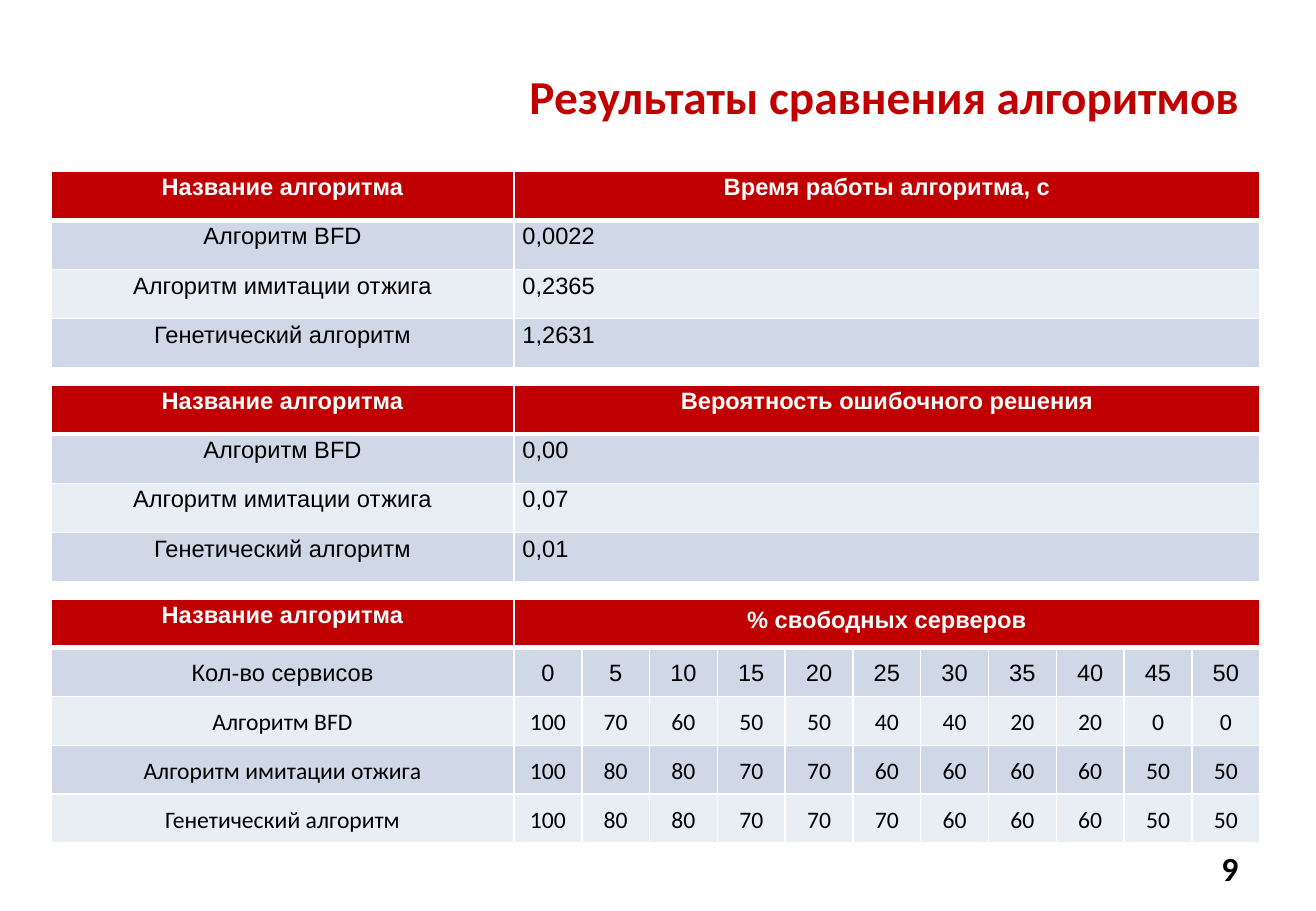
from lxml.etree import SubElement
from pptx import Presentation
from pptx.dml.color import RGBColor
from pptx.enum.text import MSO_ANCHOR as Anchor, PP_ALIGN as Align
from pptx.oxml.ns import qn
from pptx.util import Inches, Pt

RED = RGBColor(0xC0, 0x00, 0x00)
WHITE = RGBColor(0xFF, 0xFF, 0xFF)
BLACK = RGBColor(0x00, 0x00, 0x00)
BAND_DARK = RGBColor(0xD0, 0xD8, 0xE8)
BAND_LIGHT = RGBColor(0xE9, 0xED, 0xF4)

TABLE_LEFT, TABLE_WIDTH, NAME_WIDTH = 0.42, 9.95, 3.81

NAME_HEADING = "Название алгоритма"
ALGORITHMS = ["Алгоритм BFD", "Алгоритм имитации отжига", "Генетический алгоритм"]
RUN_TIMES = ["0,0022", "0,2365", "1,2631"]
ERROR_RATES = ["0,00", "0,07", "0,01"]
SERVICE_COUNTS = range(0, 51, 5)
FREE_SERVERS = [
    [100, 70, 60, 50, 50, 40, 40, 20, 20, 0, 0],
    [100, 80, 80, 70, 70, 60, 60, 60, 60, 50, 50],
    [100, 80, 80, 70, 70, 70, 60, 60, 60, 50, 50],
]


def style_text(paragraph, font_name, size, color, bold, align):
    paragraph.alignment = align
    for run in paragraph.runs:
        run.font.name = font_name
        run.font.size = Pt(size)
        run.font.color.rgb = color
        run.font.bold = bold


def add_label(slide, text, left, top, width, height, size, color):
    """Right-aligned bold line: the title or the page number."""
    label = slide.shapes.add_textbox(
        Inches(left), Inches(top), Inches(width), Inches(height))
    frame = label.text_frame
    frame.word_wrap = True
    frame.vertical_anchor = Anchor.MIDDLE
    frame.text = text
    style_text(frame.paragraphs[0], "Calibri", size, color, True, Align.RIGHT)


def set_borders(cell, top=1, bottom=1):
    properties = cell._tc.get_or_add_tcPr()
    for tag, points in (("a:lnL", 1), ("a:lnR", 1), ("a:lnT", top), ("a:lnB", bottom)):
        line = SubElement(properties, qn(tag), w=str(Pt(points)))
        fill = SubElement(line, qn("a:solidFill"))
        SubElement(fill, qn("a:srgbClr"), val=str(WHITE))


def add_table(slide, rows, top, height, side_margin):
    """Banded table with a red heading row; returns the table."""
    row_count, column_count = len(rows), len(rows[0])
    table = slide.shapes.add_table(
        row_count, column_count, Inches(TABLE_LEFT), Inches(top),
        Inches(TABLE_WIDTH), Inches(height)).table
    table.first_row = table.horz_banding = False

    # Name column first, the rest shared equally
    value_width = (TABLE_WIDTH - NAME_WIDTH) / (column_count - 1)
    for index, column in enumerate(table.columns):
        column.width = Inches(value_width if index else NAME_WIDTH)

    for r, values in enumerate(rows):
        heading = r == 0
        table.rows[r].height = Inches(height / row_count)
        for c, value in enumerate(values):
            cell = table.cell(r, c)
            set_borders(cell, 3 if r == 1 else 1, 3 if heading else 1)
            cell.fill.solid()
            cell.fill.fore_color.rgb = RED if heading else BAND_DARK if r % 2 else BAND_LIGHT
            cell.margin_left = cell.margin_right = Inches(side_margin)
            cell.margin_top, cell.margin_bottom = Inches(0.01), 0
            cell.text_frame.text = str(value)
            paragraph = cell.text_frame.paragraphs[0]
            paragraph.line_spacing = 1.07
            paragraph.space_after = Pt(8)
            style_text(paragraph, "Arial", 14, WHITE if heading else BLACK,
                       heading, Align.CENTER)
    return table


def add_measure_table(slide, heading, measures, top):
    """One measured value per algorithm."""
    rows = [(NAME_HEADING, heading), *zip(ALGORITHMS, measures)]
    table = add_table(slide, rows, top, 1.62, 0.07)
    for r in range(1, len(rows)):
        table.cell(r, 1).text_frame.paragraphs[0].alignment = Align.LEFT


def add_servers_table(slide, top):
    """Share of free servers by number of services."""
    rows = [
        [NAME_HEADING, "% свободных серверов"] + [""] * (len(SERVICE_COUNTS) - 1),
        ["Кол-во сервисов", *SERVICE_COUNTS],
        *([name, *shares] for name, shares in zip(ALGORITHMS, FREE_SERVERS)),
    ]
    table = add_table(slide, rows, top, 2.01, 0.08)

    # Heading across all value columns
    servers_heading = table.cell(0, 1)
    servers_heading.merge(table.cell(0, len(SERVICE_COUNTS)))
    servers_heading.margin_left = servers_heading.margin_right = Inches(0.1)
    servers_heading.margin_top = servers_heading.margin_bottom = Inches(0.05)

    # Body is centred vertically; algorithm rows use Calibri
    for r in range(1, len(rows)):
        for cell in table.rows[r].cells:
            cell.vertical_anchor = Anchor.MIDDLE
            if r > 1:
                cell.text_frame.paragraphs[0].runs[0].font.name = "Calibri"


def main():
    deck = Presentation()
    deck.slide_width, deck.slide_height = Inches(10.83), Inches(7.5)
    slide = deck.slides.add_slide(deck.slide_layouts[6])

    add_label(slide, "Результаты сравнения алгоритмов", 0.54, 0.48, 9.75, 0.61, 28, RED)
    add_measure_table(slide, "Время работы алгоритма, с", RUN_TIMES, 1.41)
    add_measure_table(slide, "Вероятность ошибочного решения", ERROR_RATES, 3.17)
    add_servers_table(slide, 4.93)
    add_label(slide, "9", 7.76, 6.95, 2.53, 0.4, 20, BLACK)

    deck.save("out.pptx")


if __name__ == "__main__":
    main()
